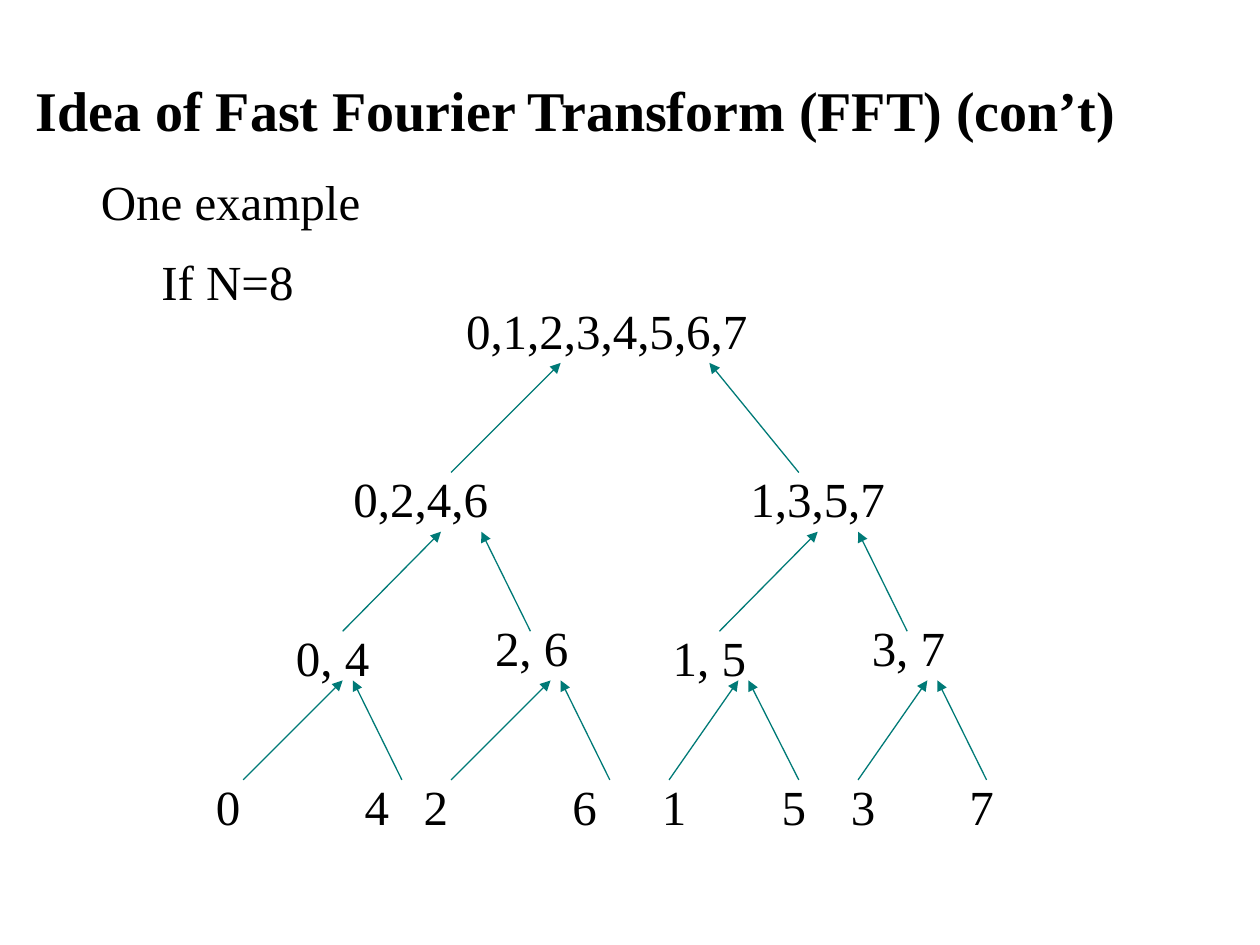
from dataclasses import dataclass

from lxml import etree
from pptx import Presentation
from pptx.dml.color import RGBColor
from pptx.enum.shapes import MSO_CONNECTOR
from pptx.enum.text import MSO_ANCHOR, MSO_AUTO_SIZE, PP_ALIGN
from pptx.oxml.ns import qn
from pptx.util import Inches, Pt

BLACK = RGBColor(0x00, 0x00, 0x00)
TEAL = RGBColor(0x00, 0x7A, 0x77)
CENTER = PP_ALIGN.CENTER
TOP = MSO_ANCHOR.TOP
MIDDLE = MSO_ANCHOR.MIDDLE
FIXED = MSO_AUTO_SIZE.NONE
STRAIGHT = MSO_CONNECTOR.STRAIGHT

LABEL_HIGH = 0.47
FRAME = {"word_wrap": True, "auto_size": FIXED, "vertical_anchor": MIDDLE}
TITLE_FRAME = FRAME | {"vertical_anchor": TOP, "margin_left": 0,
                       "margin_right": 0, "margin_top": 0, "margin_bottom": 0}
PARA = {"alignment": CENTER, "line_spacing": 0.9, "space_before": Pt(7)}
TITLE_PARA = PARA | {"line_spacing": 1.0, "space_before": Pt(8)}
FONT = {"name": "Times New Roman", "size": Pt(28), "bold": False}
TITLE_FONT = FONT | {"size": Pt(32), "bold": True}


@dataclass
class Label:
    """A centred text with its box in inches."""
    text: str
    left: float
    top: float
    width: float


@dataclass
class Level:
    """Arrows between two rows of the tree, as (from x, to x) pairs."""
    low: float
    high: float
    spans: list[tuple[float, float]]


def row(top: float, width: float, nodes: dict[str, float]) -> list[Label]:
    """Make the labels of one tree row from text and left edge."""
    return [Label(text, left, top, width) for text, left in nodes.items()]


LABELS = [
    Label("One example", 0, 1.39, 3.66),
    Label("If N=8", 0.27, 2.02, 3.07),
    Label("0,1,2,3,4,5,6,7", 3.12, 2.41, 3.39),
    *row(3.75, 2.36, {"0,2,4,6": 2.16, "1,3,5,7": 5.31}),
    *row(5.01, 1.58, {"0, 4": 1.85, "1, 5": 4.84}),
    *row(4.93, 1.58, {"2, 6": 3.43, "3, 7": 6.42}),
    *row(6.19, 1.02, {"0": 1.3, "4": 2.48, "2": 2.95, "6": 4.13,
                      "1": 4.84, "5": 5.79, "3": 6.34, "7": 7.28}),
]
LEVELS = [
    Level(3.75, 2.88, [(3.58, 4.45), (6.34, 5.63)]),
    Level(5.01, 4.22, [(2.72, 3.5), (4.21, 3.82), (5.71, 6.49), (7.2, 6.81)]),
    Level(6.19, 5.4, [(1.93, 2.72), (3.19, 2.8), (3.58, 4.37), (4.84, 4.45),
                      (5.31, 5.86), (6.34, 5.94), (6.81, 7.36), (7.83, 7.44)]),
]


def apply(item, values: dict) -> None:
    """Set each named value on an object."""
    for name, value in values.items():
        setattr(item, name, value)


def write(shape, text: str, frame: dict, para: dict, font: dict) -> None:
    """Put formatted text into a shape."""
    body = shape.text_frame
    body.text = text
    first = body.paragraphs[0]
    apply(body, frame)
    apply(first, para)
    apply(first.runs[0].font, font)
    first.runs[0].font.color.rgb = BLACK


def add_title(slide, text: str) -> None:
    """Place and fill the title."""
    title = slide.shapes.title
    apply(title, {"left": Inches(0), "top": Inches(0.6),
                  "width": Inches(9.14), "height": Inches(0.79)})
    write(title, text, TITLE_FRAME, TITLE_PARA, TITLE_FONT)


def add_label(slide, label: Label) -> None:
    """Draw one text label."""
    box = slide.shapes.add_textbox(
        Inches(label.left), Inches(label.top),
        Inches(label.width), Inches(LABEL_HIGH))
    write(box, label.text, FRAME, PARA, FONT)


def add_arrow(slide, start: tuple[float, float], end: tuple[float, float]) -> None:
    """Draw an arrow with its head at the end point."""
    arrow = slide.shapes.add_connector(
        STRAIGHT, *(Inches(v) for v in (*start, *end)))
    arrow.line.color.rgb = TEAL
    arrow.line.width = Pt(0.74)
    props = arrow.line._get_or_add_ln()
    etree.SubElement(props, qn("a:tailEnd"), type="triangle")
    etree.SubElement(props.getparent(), qn("a:effectLst"))


def main() -> None:
    """Build and save the slide."""
    deck = Presentation()
    deck.slide_width, deck.slide_height = Inches(10), Inches(7.5)
    slide = deck.slides.add_slide(deck.slide_layouts[5])
    add_title(slide, "Idea of Fast Fourier Transform (FFT) (con’t)")
    for label in LABELS:
        add_label(slide, label)
    for level in LEVELS:
        for start, end in level.spans:
            add_arrow(slide, (start, level.low), (end, level.high))
    deck.save("out.pptx")


main()
